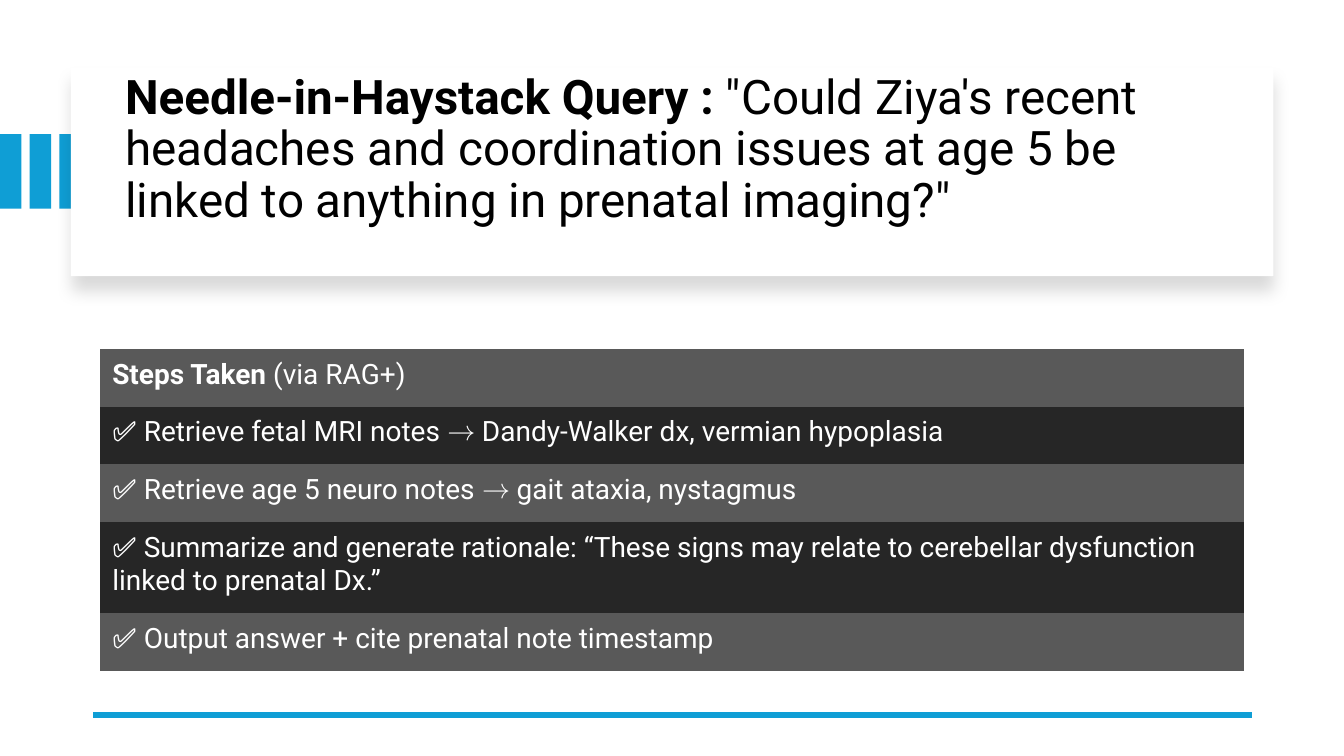
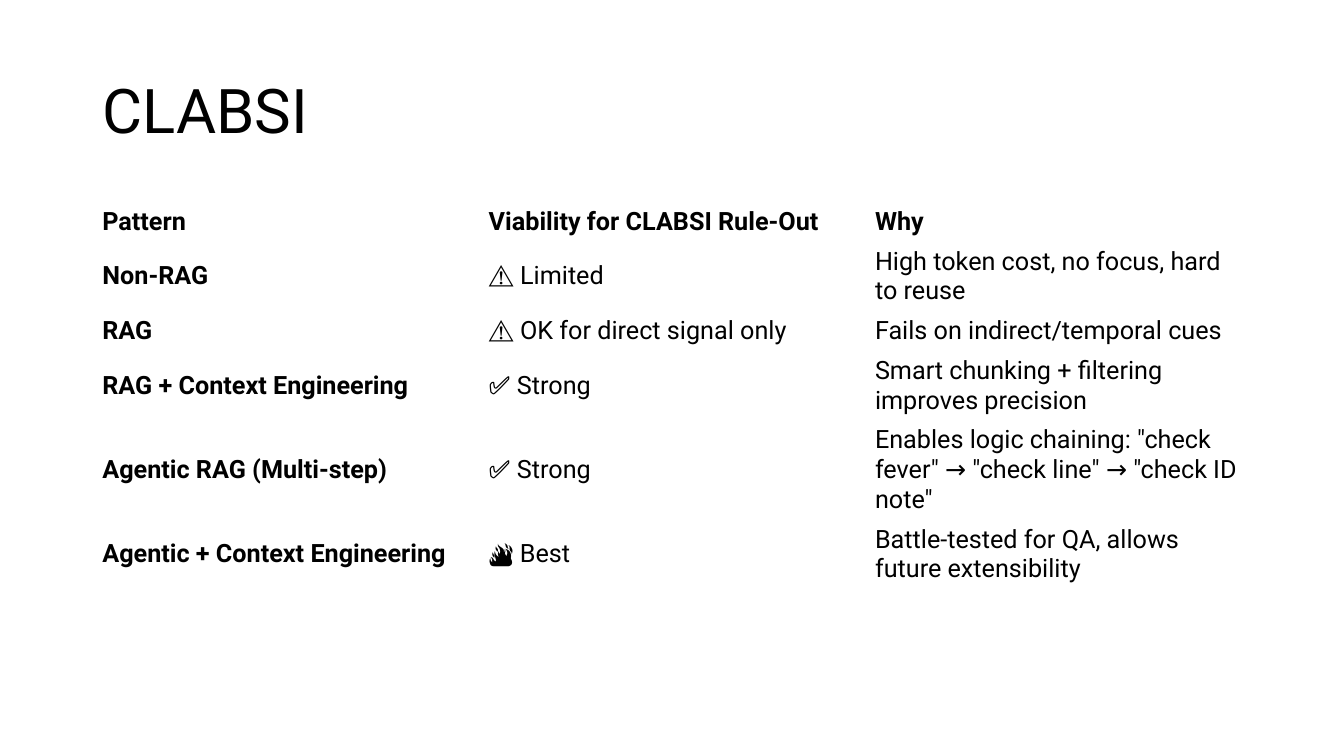
from dataclasses import dataclass

import lxml.etree
import pptx
import pptx.dml.color
import pptx.enum.dml
import pptx.enum.shapes
import pptx.enum.text
import pptx.oxml.ns
import pptx.util

Cm, Pt = pptx.util.Cm, pptx.util.Pt
qn = pptx.oxml.ns.qn

FONT = "Roboto"
BLUE, BLACK, WHITE = "0F9ED5", "000000", "FFFFFF"
ROW_FILLS = ("595959", "262626")
PLAIN_TABLE_STYLE = "{2D5ABB26-0587-4C30-8999-92F81FD0307C}"


@dataclass(frozen=True)
class Box:
    left: float
    top: float
    width: float
    height: float

    def lengths(self) -> tuple:
        return Cm(self.left), Cm(self.top), Cm(self.width), Cm(self.height)


@dataclass(frozen=True)
class Run:
    text: str
    bold: bool = False


@dataclass(frozen=True)
class TableStyle:
    size: float
    colour: str
    fills: tuple[str, ...] = ()
    margins: tuple[float, float, float, float] = (0.25, 0.13, 0.25, 0.13)


STEPS_STYLE = TableStyle(20, WHITE, ROW_FILLS, (0.31, 0.15, 0.31, 0.31))
PATTERN_STYLE = TableStyle(18, BLACK)

QUERY = [
    Run("Needle-in-Haystack Query :", True),
    Run(" \"Could Ziya's recent headaches and coordination issues at age 5 "
        "be linked to anything in prenatal imaging?\""),
]
STEPS = [
    [[Run("Steps Taken", True), Run(" (via RAG+)")]],
    [[Run("✅ Retrieve fetal MRI notes → Dandy-Walker dx, vermian hypoplasia")]],
    [[Run("✅ Retrieve age 5 neuro notes → gait ataxia, nystagmus")]],
    [[Run("✅ Summarize and generate rationale: “These signs may relate to "
          "cerebellar dysfunction linked to prenatal Dx.”")]],
    [[Run("✅ Output answer + cite prenatal note timestamp")]],
]
STEP_HEIGHTS = [1.45, 1.45, 1.45, 2.3, 1.45]

PATTERN_HEADER = ("Pattern", "Viability for CLABSI Rule-Out", "Why")
PATTERNS = [
    ("Non-RAG", "⚠️ Limited", "High token cost, no focus, hard to reuse"),
    ("RAG", "⚠️ OK for direct signal only", "Fails on indirect/temporal cues"),
    ("RAG + Context Engineering", "✅ Strong",
     "Smart chunking + filtering improves precision"),
    ("Agentic RAG (Multi-step)", "✅ Strong",
     'Enables logic chaining: "check fever" → "check line" → "check ID note"'),
    ("Agentic + Context Engineering", "🔥 Best",
     "Battle-tested for QA, allows future extensibility"),
]
PATTERN_HEIGHTS = [1, 1.74, 1, 1.74, 2.49, 1.74]


def rgb(colour: str) -> pptx.dml.color.RGBColor:
    return pptx.dml.color.RGBColor.from_string(colour)


def write_runs(p, runs: list[Run], size: float, colour: str) -> None:
    p.alignment = pptx.enum.text.PP_ALIGN.LEFT
    for run in runs:
        r = p.add_run()
        r.text = run.text
        r.font.name = FONT
        r.font.size = Pt(size)
        r.font.bold = run.bold
        r.font.color.rgb = rgb(colour)


def set_title(slide, box: Box, runs: list[Run], size: float) -> None:
    """Format the title placeholder and bring it in front of the decoration."""
    sp = slide.shapes.title
    sp.left, sp.top, sp.width, sp.height = box.lengths()
    tf = sp.text_frame
    tf.word_wrap = True
    tf.auto_size = pptx.enum.text.MSO_AUTO_SIZE.NONE
    tf.vertical_anchor = pptx.enum.text.MSO_ANCHOR.MIDDLE
    p = tf.paragraphs[0]
    p.line_spacing = 0.9
    write_runs(p, runs, size, BLACK)
    slide.shapes._spTree.append(sp._element)


def add_rect(shapes, box: Box, colour: str):
    sp = shapes.add_shape(pptx.enum.shapes.MSO_SHAPE.RECTANGLE, *box.lengths())
    sp.fill.solid()
    sp.fill.fore_color.rgb = rgb(colour)
    sp.line.fill.background()
    sp.shadow.inherit = False
    return sp


def add_soft_shadow(sp) -> None:
    effects = sp._element.spPr.find(qn("a:effectLst"))
    shadow = lxml.etree.SubElement(
        effects, qn("a:outerShdw"), blurRad=str(Pt(11)), dist=str(Pt(10)),
        dir="5400000", algn="t", rotWithShape="0")
    colour = lxml.etree.SubElement(shadow, qn("a:srgbClr"), val=BLACK)
    lxml.etree.SubElement(colour, qn("a:alpha"), val="15000")


def add_rule(slide, left: float, right: float, y: float) -> None:
    line = slide.shapes.add_connector(
        pptx.enum.shapes.MSO_CONNECTOR.STRAIGHT, Cm(right), Cm(y), Cm(left), Cm(y))
    line.line.color.rgb = rgb(BLUE)
    line.line.width = Pt(4.5)
    lxml.etree.SubElement(line._element.spPr, qn("a:effectLst"))


def add_table(slide, box: Box, rows: list, heights: list[float],
              style: TableStyle) -> None:
    """Draw rows of cells, each cell a list of runs, in equal columns."""
    columns = len(rows[0])
    tbl = slide.shapes.add_table(len(rows), columns, *box.lengths()).table
    tbl.first_row = tbl.horz_banding = False
    tbl._tbl.tblPr.find(qn("a:tableStyleId")).text = PLAIN_TABLE_STYLE
    for column in tbl.columns:
        column.width = Cm(box.width / columns)
    for i, (row, height) in enumerate(zip(rows, heights)):
        tbl.rows[i].height = Cm(height)
        for cell, runs in zip(tbl.rows[i].cells, row):
            (cell.margin_left, cell.margin_top,
             cell.margin_right, cell.margin_bottom) = map(Cm, style.margins)
            cell.vertical_anchor = pptx.enum.text.MSO_ANCHOR.MIDDLE
            if style.fills:
                cell.fill.solid()
                cell.fill.fore_color.rgb = rgb(style.fills[i % len(style.fills)])
            else:
                cell.fill.background()
            write_runs(cell.text_frame.paragraphs[0], runs, style.size, style.colour)


def build_query_slide(slide) -> None:
    bars = slide.shapes.add_group_shape()
    for i in range(3):
        add_rect(bars.shapes, Box(0.75 * i, 3.38, 0.54, 1.88), BLUE)
    add_soft_shadow(add_rect(slide.shapes, Box(1.79, 1.7, 30.3, 5.26), WHITE))
    set_title(slide, Box(2.9, 1.63, 28.27, 4.32), QUERY, 34)
    add_rule(slide, 2.34, 31.55, 18.01)
    add_table(slide, Box(2.52, 8.8, 28.83, sum(STEP_HEIGHTS)),
              STEPS, STEP_HEIGHTS, STEPS_STYLE)


def build_pattern_slide(slide) -> None:
    set_title(slide, Box(2.33, 1.01, 29.21, 3.68), [Run("CLABSI")], 44)
    rows = [[[Run(text, True)] for text in PATTERN_HEADER]]
    rows += [[[Run(text, column == 0)] for column, text in enumerate(row)]
             for row in PATTERNS]
    add_table(slide, Box(2.33, 5.08, 29.21, sum(PATTERN_HEIGHTS)),
              rows, PATTERN_HEIGHTS, PATTERN_STYLE)


def main() -> None:
    prs = pptx.Presentation()
    prs.slide_width, prs.slide_height = Cm(33.87), Cm(19.05)
    title_only = prs.slide_layouts[5]
    for build in (build_query_slide, build_pattern_slide):
        build(prs.slides.add_slide(title_only))
    prs.save("out.pptx")


if __name__ == "__main__":
    main()
